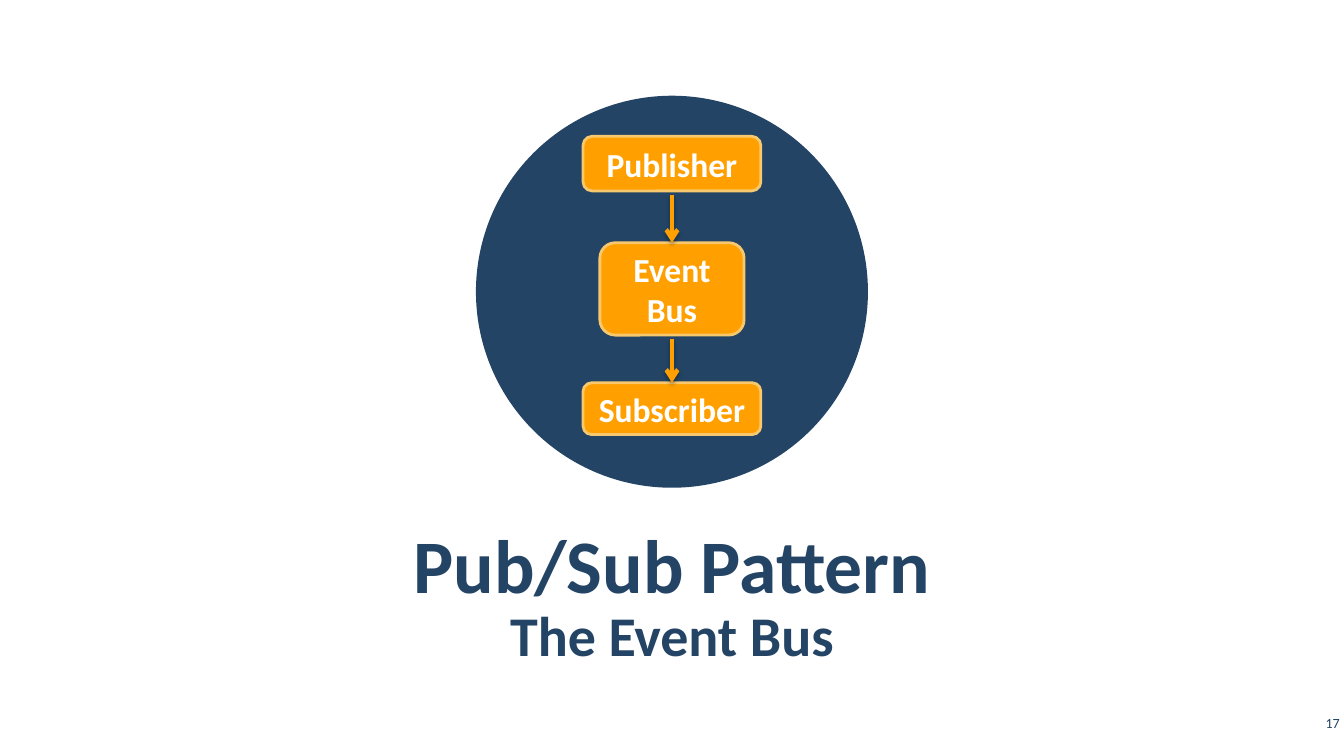
from dataclasses import dataclass

from lxml import etree
from pptx import Presentation
from pptx.dml.color import RGBColor
from pptx.enum import shapes, text
from pptx.oxml import ns
from pptx.util import Pt


@dataclass(frozen=True)
class Theme:
    navy: str = "234465"
    gold: str = "FFA000"
    rim: str = "F7C86D"
    white: str = "FFFFFF"
    font: str = "Calibri"
    head: int = 54
    sub: int = 40
    label: int = 24
    small: int = 10


T = Theme()
WIDE, HIGH = 960, 540
MID = WIDE / 2


def rgb(code):
    return RGBColor.from_string(code)


def write(shape, words, size, color=T.navy, bold=True, align="CENTER",
          pad=(7.2, 3.6), space=0, lead=1.0):
    """Fill a shape with text, one paragraph for each line of words."""
    frame = shape.text_frame
    frame.word_wrap = True
    frame.auto_size = text.MSO_AUTO_SIZE.NONE
    frame.vertical_anchor = text.MSO_ANCHOR.MIDDLE
    frame.margin_left = frame.margin_right = Pt(pad[0])
    frame.margin_top = frame.margin_bottom = Pt(pad[1])
    frame.text = words
    for para in frame.paragraphs:
        para.alignment = text.PP_ALIGN[align]
        para.line_spacing = lead
        para.space_before = para.space_after = Pt(space)
        font = para.runs[0].font
        font.name, font.size, font.bold = T.font, Pt(size), bold
        font.color.rgb = rgb(color)


def place(shape, left, top, width, height):
    shape.left, shape.top = Pt(left), Pt(top)
    shape.width, shape.height = Pt(width), Pt(height)


def draw(slide, kind, box, fill, rim=None):
    shape = slide.shapes.add_shape(kind, *map(Pt, box))
    shape.shadow.inherit = False
    shape.fill.solid()
    shape.fill.fore_color.rgb = rgb(fill)
    if rim:
        shape.line.color.rgb = rgb(rim)
        shape.line.width = Pt(2)
    else:
        shape.line.fill.background()
    return shape


def arrow(slide, start, goal):
    """Point an arrow from just below one box to the top of the next."""
    x, y = start.left + start.width // 2, start.top + start.height + Pt(3)
    line = slide.shapes.add_connector(
        shapes.MSO_CONNECTOR.STRAIGHT, x, y, x, goal.top)
    line.end_connect(goal, 0)
    line.line.color.rgb = rgb(T.gold)
    line.line.width = Pt(3)
    etree.SubElement(line.line._get_or_add_ln(), ns.qn("a:tailEnd"), type="arrow")
    glow = etree.SubElement(line._element.spPr, ns.qn("a:effectLst"))
    drop = etree.SubElement(
        glow, ns.qn("a:outerShdw"), blurRad=str(Pt(3.1)), dist=str(Pt(1.8)),
        dir="5400000", rotWithShape="0")
    tone = etree.SubElement(drop, ns.qn("a:srgbClr"), val="000000")
    etree.SubElement(tone, ns.qn("a:alpha"), val="35000")


def flow(slide, left, top, side):
    """Draw the disc with its chain of boxes."""
    draw(slide, shapes.MSO_SHAPE.OVAL, (left, top, side, side), T.navy)
    steps = [("Publisher", 29, 127, 39),
             ("Event\nBus", 105, 103, 66),
             ("Subscriber", 205, 127, 37)]
    last = None
    for words, drop, width, height in steps:
        box = (left + (side - width) / 2, top + drop, width, height)
        step = draw(slide, shapes.MSO_SHAPE.ROUNDED_RECTANGLE, box, T.gold, T.rim)
        write(step, words, T.label, T.white)
        if last is not None:
            arrow(slide, last, step)
        last = step


def heading(slide, left, top, width):
    look = dict(pad=(8.64, 3), space=6, lead=1.05)
    title = slide.shapes.title
    place(title, left, top, width, 60)
    write(title, "Pub/Sub Pattern", T.head, **look)
    sub = slide.shapes.add_textbox(Pt(left), Pt(top + 61), Pt(width), Pt(40))
    write(sub, "The Event Bus", T.sub, **look)


def number(slide, right, top):
    width = 34
    box = slide.shapes.add_textbox(Pt(right - width), Pt(top), Pt(width), Pt(24.5))
    write(box, "17", T.small, bold=False, align="RIGHT", pad=(3, 3))


def main():
    deck = Presentation()
    deck.slide_width, deck.slide_height = Pt(WIDE), Pt(HIGH)
    slide = deck.slides.add_slide(deck.slide_layouts.get_by_name("Title Only"))
    flow(slide, MID - 140, 68.4, 280)
    heading(slide, 48, 371, WIDE - 96)
    number(slide, WIDE, 504)
    deck.save("out.pptx")


if __name__ == "__main__":
    main()
